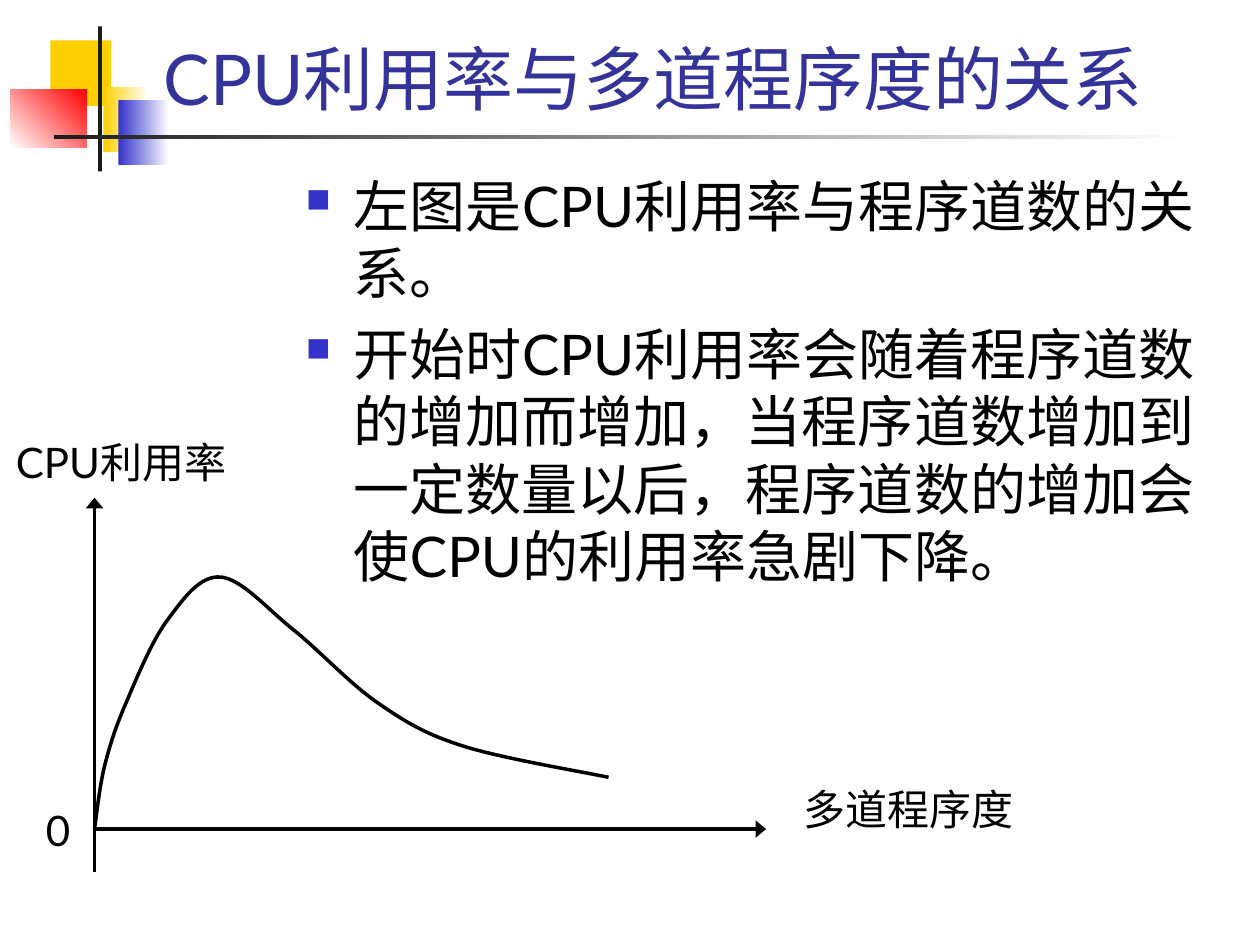
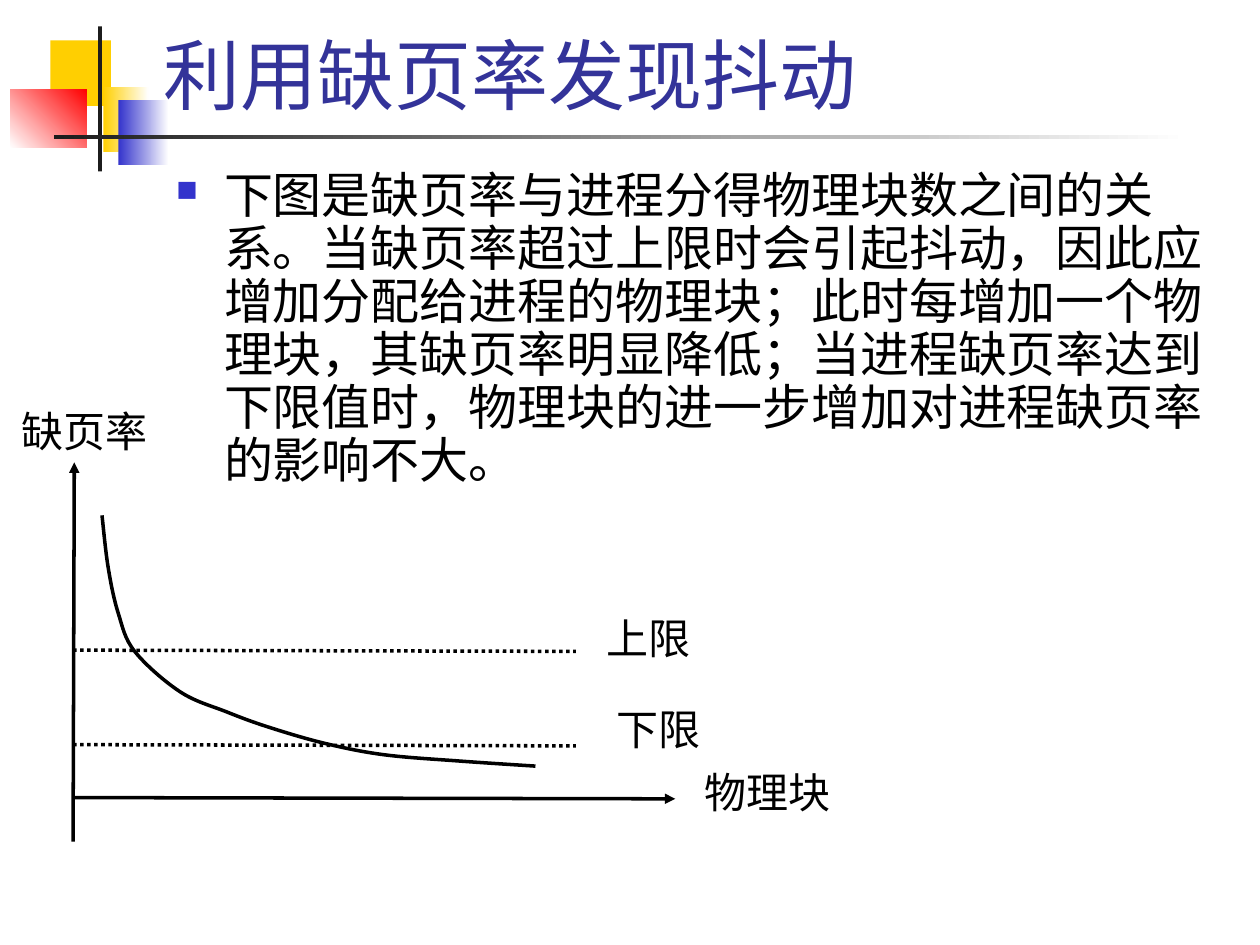
"""Build two slides on CPU utilisation and page-fault rate, each with a text and a sketched curve."""
from dataclasses import dataclass

from lxml.etree import Element, SubElement
from pptx import Presentation
from pptx.dml.color import RGBColor
from pptx.enum.dml import MSO_LINE
from pptx.enum.shapes import MSO_CONNECTOR, MSO_SHAPE
from pptx.enum.text import MSO_ANCHOR, PP_ALIGN
from pptx.oxml.ns import qn
from pptx.util import Inches, Pt


@dataclass(frozen=True)
class Theme:
    font: str = "Lato"
    bullet_font: str = "Wingdings"
    title: str = "333399"
    ink: str = "000000"
    white: str = "FFFFFF"
    yellow: str = "FFCF01"
    blue: str = "3333CC"
    red: str = "FF0000"
    rule: str = "1C1C1C"
    label_size: int = 24
    line_width: int = 2
    bullet_percent: int = 60


theme = Theme()


def add_text(slide, box, paragraphs, size, color, anchor, margins=True):
    """Add a text box with one run per paragraph and return its text frame."""
    frame = slide.shapes.add_textbox(*map(Inches, box)).text_frame
    frame.word_wrap = margins
    frame.vertical_anchor = anchor
    if not margins:
        frame.margin_left = frame.margin_right = frame.margin_top = frame.margin_bottom = 0
    for index, text in enumerate(paragraphs):
        paragraph = frame.add_paragraph() if index else frame.paragraphs[0]
        run = paragraph.add_run()
        run.text = text
        run.font.name = theme.font
        run.font.size = Pt(size)
        run.font.color.rgb = RGBColor.from_string(color)
    return frame


def smooth_outline(shape):
    """Turn the straight segments of a freeform into curves through the same knots."""
    knots = [(int(point.get("x")), int(point.get("y")))
             for point in shape._element.iter(qn("a:pt"))]
    padded = [knots[0], *knots, knots[-1]]
    segments = list(shape._element.iter(qn("a:lnTo")))
    for segment, before, start, end, after in zip(
            segments, padded, padded[1:], padded[2:], padded[3:]):
        segment.tag = qn("a:cubicBezTo")
        leaving = [b + (c - a) / 6 for a, b, c in zip(before, start, end)]
        arriving = [c - (d - b) / 6 for b, c, d in zip(start, end, after)]
        for index, (x, y) in enumerate((leaving, arriving)):
            segment.insert(index, Element(qn("a:pt"), x=str(round(x)), y=str(round(y))))


decorations = [
    ((0.4, 0.32, 0.48, 0.52), theme.yellow, theme.yellow, 0),
    ((0.82, 0.69, 0.36, 0.52), theme.yellow, theme.white, 0),
    ((0.94, 0.79, 0.4, 0.52), theme.blue, theme.white, 0),
    ((0.08, 0.71, 0.61, 0.46), theme.white, theme.red, 45),
    ((0.78, 0.21, 0.03, 1.15), theme.rule, theme.rule, 0),
    ((0.43, 1.07, 9, 0.03), theme.rule, theme.white, 0),
]

pages = [
    {
        "title": "CPU利用率与多道程序度的关系",
        "title_size": 40,
        "body": [
            "左图是CPU利用率与程序道数的关系。",
            "开始时CPU利用率会随着程序道数的增加而增加，当程序道数增加到一定数量以后，"
            "程序道数的增加会使CPU的利用率急剧下降。",
        ],
        "body_box": (2.33, 1.31, 7.5, 3.58),
        "body_size": 32,
        "line_spacing": 1.0,
        "arrow_width": "lg",
        "axes": [(0.75, 6.58, 6.08, 6.58), (0.75, 6.92, 0.75, 3.95)],
        "limits": [],
        "labels": [
            ("0", (0.25, 6.42, 0.42, 0.33)),
            ("CPU利用率", (0.05, 3.5, 1.82, 0.33)),
            ("多道程序度", (6.3, 6.25, 1.82, 0.33)),
        ],
        "curve": [(0.75, 6.58), (0.83, 6.08), (1, 5.58), (1.33, 4.92), (1.75, 4.58),
                  (2.33, 5), (3, 5.58), (3.67, 5.92), (4.83, 6.17)],
    },
    {
        "title": "利用缺页率发现抖动",
        "title_size": 44,
        "body": [
            "下图是缺页率与进程分得物理块数之间的关系。当缺页率超过上限时会引起抖动，"
            "因此应增加分配给进程的物理块；此时每增加一个物理块，其缺页率明显降低；"
            "当进程缺页率达到下限值时，物理块的进一步增加对进程缺页率的影响不大。",
        ],
        "body_box": (1.3, 1.31, 8.62, 2.88),
        "body_size": 28,
        "line_spacing": 0.9,
        "arrow_width": "med",
        "axes": [(0.58, 6.33, 5.36, 6.34), (0.58, 6.68, 0.59, 3.67)],
        "limits": [(0.58, 5.16, 4.57, 5.17), (0.58, 5.91, 4.57, 5.92)],
        "labels": [
            ("缺页率", (0.17, 3.25, 1, 0.33)),
            ("物理块", (5.58, 6.14, 1.02, 0.28)),
            ("上限", (4.75, 4.92, 0.79, 0.28)),
            ("下限", (4.83, 5.64, 0.79, 0.28)),
        ],
        "curve": [(0.81, 4.09), (0.86, 4.51), (0.94, 4.87), (1.07, 5.17), (1.43, 5.49),
                  (1.8, 5.65), (2.13, 5.77), (2.58, 5.9), (3.05, 5.99), (3.65, 6.04),
                  (4.25, 6.08)],
    },
]

presentation = Presentation()
presentation.slide_width = Inches(10)
presentation.slide_height = Inches(7.5)

for page in pages:
    slide = presentation.slides.add_slide(presentation.slide_layouts[6])

    for box, start_color, end_color, angle in decorations:
        shape = slide.shapes.add_shape(MSO_SHAPE.RECTANGLE, *map(Inches, box))
        shape.shadow.inherit = False
        shape.line.fill.background()
        if start_color == end_color:
            shape.fill.solid()
            shape.fill.fore_color.rgb = RGBColor.from_string(start_color)
        else:
            shape.fill.gradient()
            shape.fill.gradient_angle = angle
            for stop, color in zip(shape.fill.gradient_stops, (start_color, end_color)):
                stop.color.rgb = RGBColor.from_string(color)

    add_text(slide, (1.2, 0.17, 8.52, 0.83), [page["title"]], page["title_size"],
             theme.title, MSO_ANCHOR.BOTTOM)

    body = add_text(slide, page["body_box"], page["body"], page["body_size"],
                    theme.ink, MSO_ANCHOR.TOP)
    for index, paragraph in enumerate(body.paragraphs):
        paragraph.line_spacing = page["line_spacing"]
        paragraph.space_before = Pt(8 if index else 0)
        properties = paragraph._p.get_or_add_pPr()
        properties.set("marL", str(Inches(0.38)))
        properties.set("indent", str(-Inches(0.38)))
        properties.set("hangingPunct", "0")
        bullet_color = SubElement(properties, qn("a:buClr"))
        SubElement(bullet_color, qn("a:srgbClr"), val=theme.blue)
        SubElement(properties, qn("a:buSzPct"), val=str(theme.bullet_percent * 1000))
        SubElement(properties, qn("a:buFont"), typeface=theme.bullet_font, charset="2")
        SubElement(properties, qn("a:buChar"), char="n")

    for ends in page["axes"] + page["limits"]:
        connector = slide.shapes.add_connector(MSO_CONNECTOR.STRAIGHT, *map(Inches, ends))
        connector.line.color.rgb = RGBColor.from_string(theme.ink)
        connector.line.width = Pt(theme.line_width)
        properties = connector._element.spPr
        if ends in page["limits"]:
            connector.line.dash_style = MSO_LINE.ROUND_DOT
        else:
            SubElement(properties.find(qn("a:ln")), qn("a:tailEnd"),
                       type="triangle", w=page["arrow_width"], len="med")
        SubElement(properties, qn("a:effectLst"))

    knots = [(Inches(x), Inches(y)) for x, y in page["curve"]]
    builder = slide.shapes.build_freeform(*knots[0])
    builder.add_line_segments(knots[1:], close=False)
    curve = builder.convert_to_shape()
    smooth_outline(curve)
    curve.shadow.inherit = False
    curve.fill.background()
    curve.line.color.rgb = RGBColor.from_string(theme.ink)
    curve.line.width = Pt(theme.line_width)

    for text, box in page["labels"]:
        label = add_text(slide, box, [text], theme.label_size, theme.ink,
                         MSO_ANCHOR.MIDDLE, margins=False)
        label.paragraphs[0].alignment = PP_ALIGN.CENTER

presentation.save("out.pptx")
